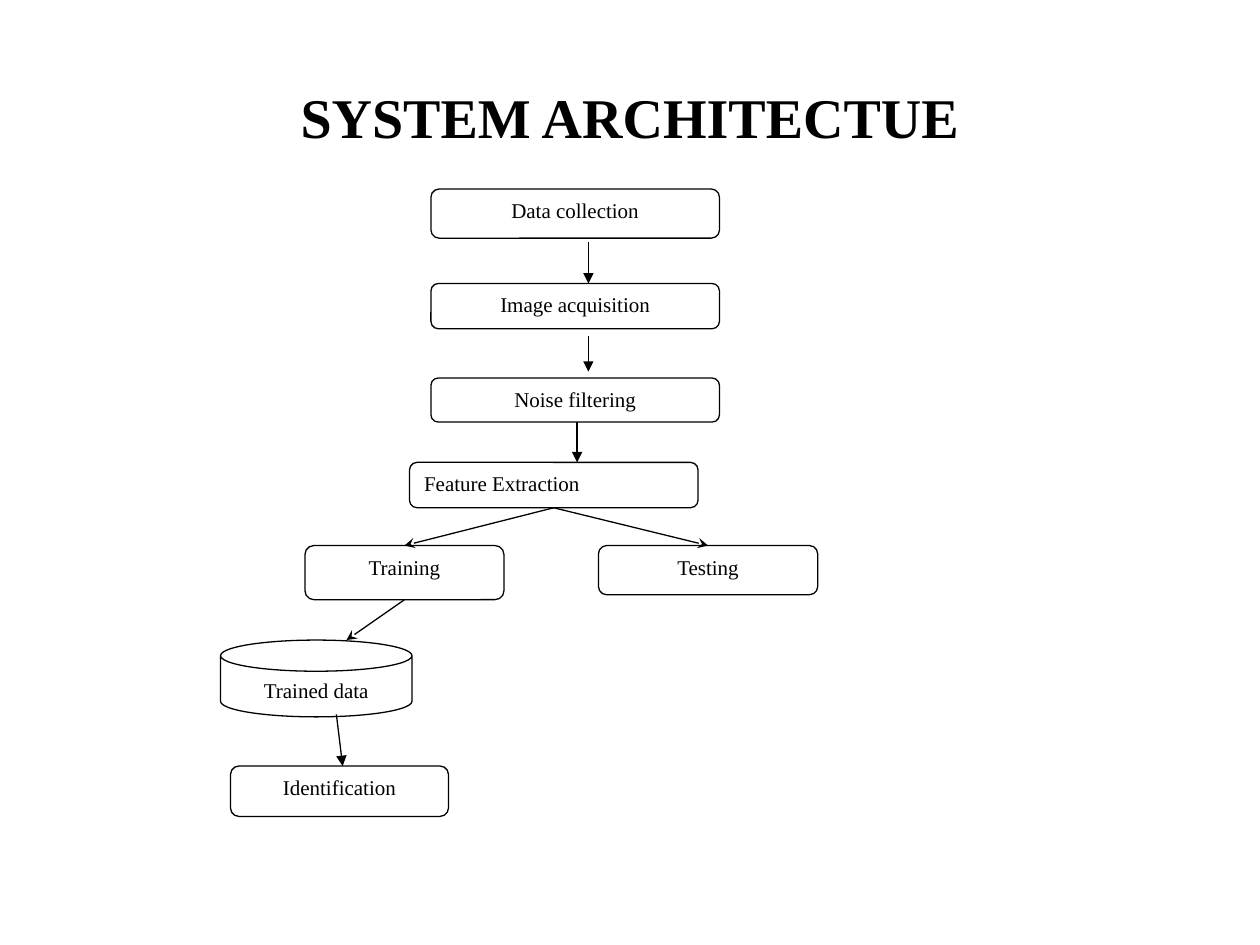
"""Build the system architecture flowchart slide."""
from dataclasses import dataclass

from lxml.etree import SubElement
from pptx import Presentation
from pptx.dml.color import RGBColor
from pptx.enum.shapes import MSO_CONNECTOR as Conn, MSO_SHAPE as Shape
from pptx.enum.text import MSO_ANCHOR as Anchor, PP_ALIGN as Align
from pptx.oxml.ns import qn
from pptx.util import Inches, Pt


@dataclass(frozen=True)
class Theme:
    font: str = "Times New Roman"
    ink: RGBColor = RGBColor(0, 0, 0)
    paper: RGBColor = RGBColor(255, 255, 255)
    title: int = 32
    body: int = 12
    line: float = 0.75


THEME = Theme()
TITLE = "SYSTEM ARCHITECTUE"
BOTTOM, TOP = 2, 0
ROUND, CAN = (Shape.ROUNDED_RECTANGLE, 0.167), (Shape.CAN, 0.406)

STEPS = [
    ("Trained data", CAN, (1.75, 5.08, 1.52, 0.61), Align.CENTER),
    ("Identification", ROUND, (1.83, 6.08, 1.73, 0.4), Align.CENTER),
    ("Data collection", ROUND, (3.42, 1.5, 2.29, 0.39), Align.CENTER),
    ("Image acquisition", ROUND, (3.42, 2.25, 2.29, 0.36), Align.CENTER),
    ("Noise filtering", ROUND, (3.42, 3, 2.29, 0.35), Align.CENTER),
    ("Feature Extraction", ROUND, (3.25, 3.67, 2.29, 0.36), Align.JUSTIFY),
    ("Training", ROUND, (2.42, 4.33, 1.58, 0.43), Align.CENTER),
    ("Testing", ROUND, (4.75, 4.33, 1.74, 0.39), Align.CENTER),
]

ARROWS = [
    ((4.67, 1.92), (4.67, 2.25), "triangle"),
    ((4.67, 2.67), (4.67, 2.95), "triangle"),
    ((4.58, 3.35), (4.58, 3.67), "triangle"),
    ("Feature Extraction", "Training", "stealth"),
    ("Feature Extraction", "Testing", "stealth"),
    ("Training", (2.75, 5.08), "stealth"),
    ((2.67, 5.67), (2.72, 6.08), "triangle"),
]


def write(tf, text, size, align, anchor, bold=False):
    tf.word_wrap = True
    tf.vertical_anchor = anchor
    p = tf.paragraphs[0]
    p.alignment = align
    r = p.add_run()
    r.text = text
    r.font.name, r.font.size, r.font.bold = THEME.font, Pt(size), bold
    r.font.color.rgb = THEME.ink


def set_line(line):
    line.color.rgb = THEME.ink
    line.width = Pt(THEME.line)


def add_step(s, text, kind, box, align):
    preset, adjustment = kind
    sp = s.shapes.add_shape(preset, *map(Inches, box))
    sp.adjustments[0] = adjustment
    sp.shadow.inherit = False
    sp.fill.solid()
    sp.fill.fore_color.rgb = THEME.paper
    set_line(sp.line)
    write(sp.text_frame, text, THEME.body, align, Anchor.TOP)
    return sp


def add_arrow(s, steps, start, end, head):
    free = [(0, 0) if isinstance(point, str) else point for point in (start, end)]
    cxn = s.shapes.add_connector(Conn.STRAIGHT, *(Inches(v) for point in free for v in point))
    if isinstance(start, str):
        cxn.begin_connect(steps[start], BOTTOM)
    if isinstance(end, str):
        cxn.end_connect(steps[end], TOP)
    set_line(cxn.line)
    SubElement(cxn.line._get_or_add_ln(), qn("a:tailEnd"), type=head)
    SubElement(cxn._element.spPr, qn("a:effectLst"))


def main():
    prs = Presentation()
    prs.slide_width, prs.slide_height = Inches(10), Inches(7.5)
    s = prs.slides.add_slide(prs.slide_layouts[5])

    title = s.shapes.title
    title.left, title.top, title.width, title.height = map(Inches, (0.5, 0.3, 9, 1.25))
    write(title.text_frame, TITLE, THEME.title, Align.CENTER, Anchor.MIDDLE, bold=True)

    steps = {step[0]: add_step(s, *step) for step in STEPS}
    for arrow in ARROWS:
        add_arrow(s, steps, *arrow)
    prs.save("out.pptx")


if __name__ == "__main__":
    main()
